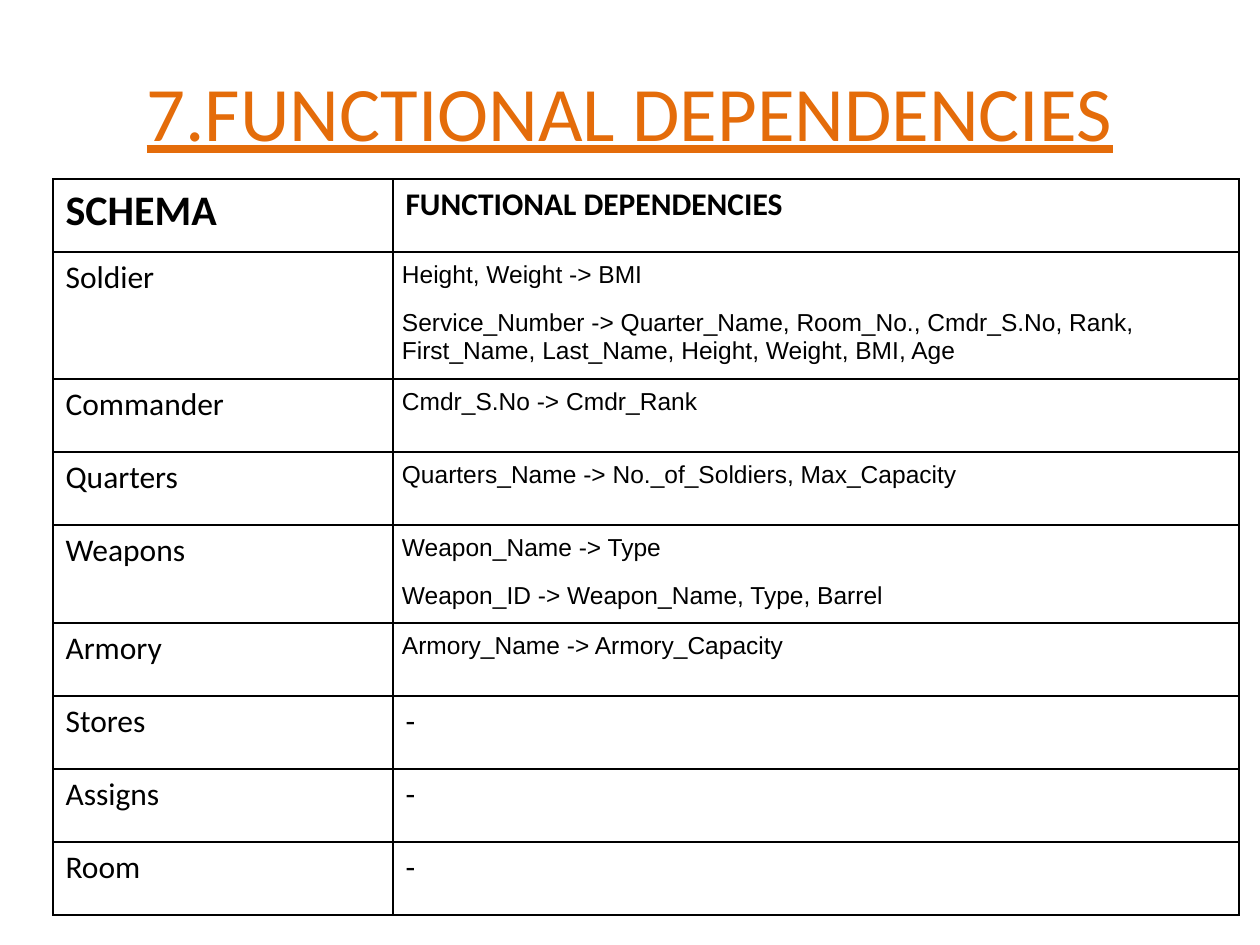
from lxml.etree import SubElement
from pptx import Presentation
from pptx.dml.color import RGBColor
from pptx.enum.text import MSO_ANCHOR, PP_ALIGN
from pptx.oxml.ns import qn
from pptx.util import Emu, Pt

PX_PER_INCH = 126
BLACK = "000000"
WHITE = "FFFFFF"
ORANGE = "E46C0A"

COLUMN_WIDTHS = [340, 846]
SHORT_ROW = 73
ROW_HEIGHTS = {"Soldier": 125, "Weapons": 96}
SCHEMAS = [
    ("SCHEMA", ["FUNCTIONAL DEPENDENCIES"]),
    ("Soldier", [
        "Height, Weight -> BMI",
        "Service_Number -> Quarter_Name, Room_No., Cmdr_S.No, Rank, "
        "First_Name, Last_Name, Height, Weight, BMI, Age",
    ]),
    ("Commander", ["Cmdr_S.No -> Cmdr_Rank"]),
    ("Quarters", ["Quarters_Name -> No._of_Soldiers, Max_Capacity"]),
    ("Weapons", ["Weapon_Name -> Type", "Weapon_ID -> Weapon_Name, Type, Barrel"]),
    ("Armory", ["Armory_Name -> Armory_Capacity"]),
    ("Stores", ["-"]),
    ("Assigns", ["-"]),
    ("Room", ["-"]),
]


def px(length):
    return Emu(round(length * 914400 / PX_PER_INCH))


def color(value):
    return RGBColor.from_string(value)


def style_text(frame, size, fill, face="Calibri", bold=False, underline=False):
    for para in frame.paragraphs:
        for span in para.runs:
            font = span.font
            font.size = Pt(size)
            font.name = face
            font.bold = bold
            font.underline = underline
            font.color.rgb = color(fill)


def add_title(page, left, top, width, height):
    box = page.shapes.add_textbox(px(left), px(top), px(width), px(height))
    frame = box.text_frame
    frame.word_wrap = True
    frame.vertical_anchor = MSO_ANCHOR.MIDDLE
    frame.text = "7.FUNCTIONAL DEPENDENCIES"
    frame.paragraphs[0].alignment = PP_ALIGN.CENTER
    style_text(frame, 44, ORANGE, underline=True)


def set_cell_look(cell):
    properties = cell._tc.get_or_add_tcPr()
    for side in ("a:lnL", "a:lnR", "a:lnT", "a:lnB"):
        line = SubElement(properties, qn(side), w=str(Pt(1)))
        paint = SubElement(line, qn("a:solidFill"))
        SubElement(paint, qn("a:srgbClr"), val=BLACK)
    cell.fill.solid()
    cell.fill.fore_color.rgb = color(WHITE)


def style_dependencies(cell):
    cell.margin_left = cell.margin_right = px(9)
    cell.margin_top = cell.margin_bottom = px(9)
    for para in cell.text_frame.paragraphs:
        para.space_before = Pt(12)
    style_text(cell.text_frame, 14, BLACK, face="Arial")


def add_schema_table(page, left, top):
    heights = [ROW_HEIGHTS.get(name, SHORT_ROW) for name, _ in SCHEMAS]
    table = page.shapes.add_table(
        len(SCHEMAS), len(COLUMN_WIDTHS), px(left), px(top),
        px(sum(COLUMN_WIDTHS)), px(sum(heights)),
    ).table
    table.first_row = False
    table.horz_banding = False
    for column, width in zip(table.columns, COLUMN_WIDTHS):
        column.width = px(width)
    for index, (name, dependencies) in enumerate(SCHEMAS):
        table.rows[index].height = px(heights[index])
        header = index == 0
        schema_cell, dependency_cell = table.rows[index].cells
        schema_cell.text_frame.text = name
        dependency_cell.text_frame.text = "\n".join(dependencies)
        style_text(schema_cell.text_frame, 24 if header else 18, BLACK, bold=header)
        if header or dependencies == ["-"]:
            style_text(dependency_cell.text_frame, 18, BLACK, bold=header)
        else:
            style_dependencies(dependency_cell)
        set_cell_look(schema_cell)
        set_cell_look(dependency_cell)


def main():
    deck = Presentation()
    deck.slide_width = px(1260)
    deck.slide_height = px(945)
    page = deck.slides.add_slide(deck.slide_layouts[6])
    add_title(page, 63, 32, 1134, 157)
    add_schema_table(page, 53, 179)
    deck.save("out.pptx")


if __name__ == "__main__":
    main()
